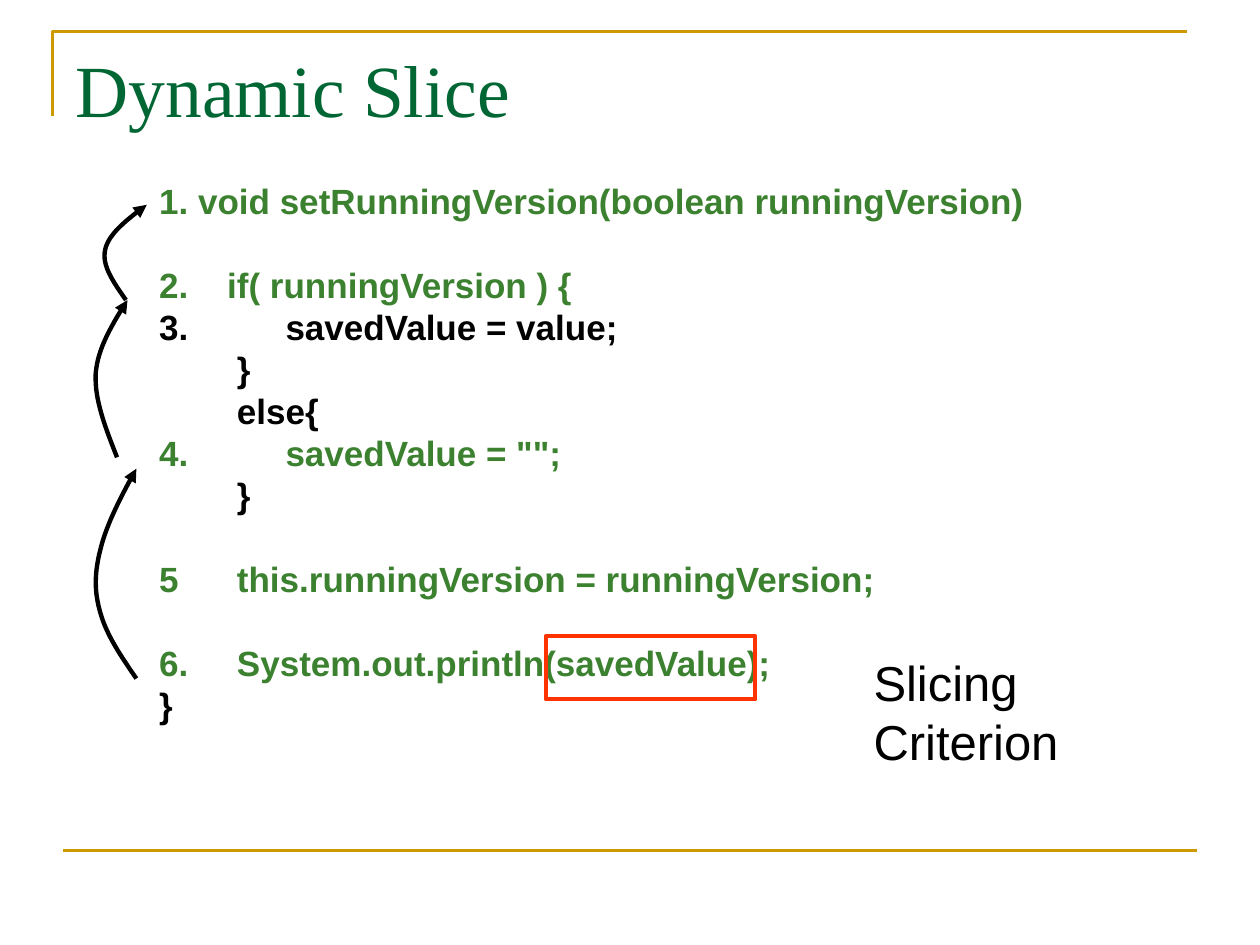
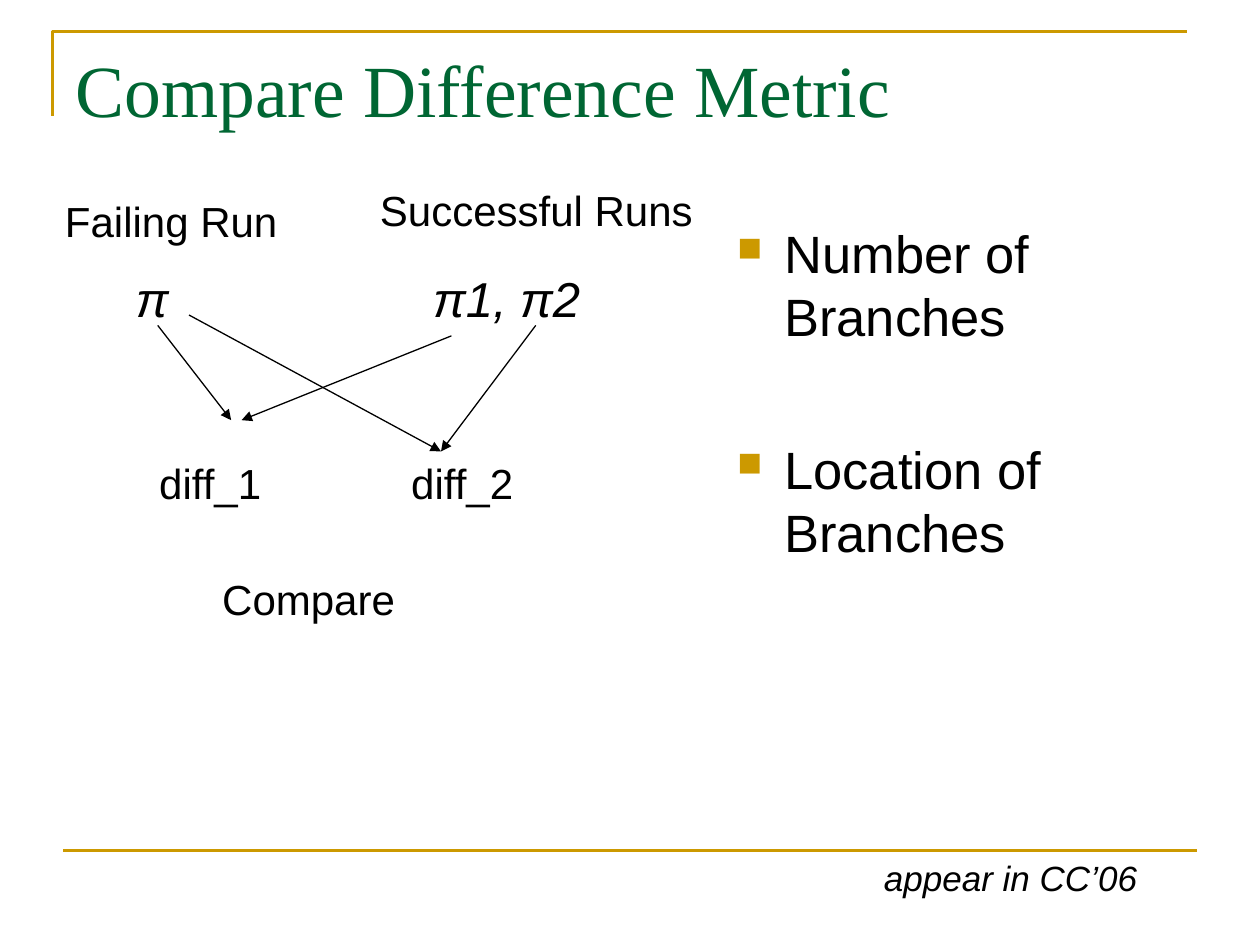
"""Build two slides on dynamic slicing and comparing difference metrics."""
from lxml import etree
from pptx import Presentation
from pptx.dml.color import RGBColor
from pptx.enum.shapes import MSO_CONNECTOR, MSO_SHAPE
from pptx.enum.text import MSO_ANCHOR, PP_ALIGN
from pptx.oxml.ns import qn
from pptx.util import Cm, Pt

STRAIGHT = MSO_CONNECTOR.STRAIGHT
RECTANGLE = MSO_SHAPE.RECTANGLE
TOP = MSO_ANCHOR.TOP
LEFT = PP_ALIGN.LEFT

GOLD, PINE, LEAF, RED, BLACK = "CC9900", "006633", "3B812F", "FF3300", "000000"
SANS, SERIF = "Arial", "Times New Roman"
LINE_PT = 24

# Each code line: text, whether it is in the slice, blank lines above it
CODE = [
    ("1. void setRunningVersion(boolean runningVersion)", True, 0),
    ("2.    if( runningVersion ) {", True, 1),
    ("3.          savedValue = value;", False, 0),
    ("        }", False, 0),
    ("        else{", False, 0),
    ("4.          savedValue = \"\";", True, 0),
    ("        }", False, 0),
    ("5      this.runningVersion = runningVersion;", True, 1),
    ("6.     System.out.println(savedValue);", True, 1),
    ("}", False, 0),
]
# Bezier points of each dependence arrow: start, then control, control, end
DEPENDENCES = [
    [(2.75, 13.68), (2.44, 13.23), (2.15, 12.8), (2.03, 12.37),
     (1.9, 11.94), (1.9, 11.56), (2.03, 11.06), (2.15, 10.57), (2.44, 10.01), (2.75, 9.45)],
    [(2.36, 9.22), (2.13, 8.64), (1.9, 8.05), (1.93, 7.53),
     (1.97, 7.01), (2.27, 6.53), (2.57, 6.05)],
    [(2.54, 6.05), (2.29, 5.69), (2.05, 5.36), (2.12, 5.04),
     (2.18, 4.72), (2.57, 4.42), (2.96, 4.13)],
]
# Each label: text, left, top, width, size, italic
LABELS = [
    ("appear in CC’06", 17.57, 17.15, 6.77, 20, True),
    ("Failing Run", 1.06, 3.81, 4.92, 24, False),
    ("Successful Runs", 7.41, 3.6, 6.99, 24, False),
    ("π", 2.49, 5.29, 1.3, 28, True),
    ("π1, π2", 8.48, 5.29, 3.6, 28, True),
    ("diff_1", 2.96, 9.1, 2.75, 24, False),
    ("diff_2", 8.04, 9.1, 2.75, 24, False),
    ("Compare", 4.23, 11.43, 4.92, 24, False),
]
DIFF_ARROWS = [
    ((3.18, 6.56), (4.66, 8.47)),
    ((9.1, 6.77), (4.87, 8.47)),
    ((3.81, 6.35), (8.89, 9.1)),
    ((10.8, 6.56), (8.89, 9.1)),
]
METRICS = ["Number of Branches", "Location of Branches"]


def rgb(value):
    """Turn a hex string into a colour."""
    return RGBColor.from_string(value)


def add_run(p, text, size, color=BLACK, font=SANS, bold=False, italic=False):
    """Add one formatted run to a paragraph."""
    r = p.add_run()
    r.text = text
    r.font.size, r.font.name = Pt(size), font
    r.font.bold, r.font.italic = bold, italic
    r.font.color.rgb = rgb(color)


def add_text_frame(slide, left, top, width, height):
    """Add a wrapping text box and return its frame."""
    tf = slide.shapes.add_textbox(Cm(left), Cm(top), Cm(width), Cm(height)).text_frame
    tf.word_wrap = True
    return tf


def next_paragraph(tf, i):
    """Return the first paragraph, or add a later one."""
    return tf.add_paragraph() if i else tf.paragraphs[0]


def add_label(slide, text, left, top, width, size, italic=False, height=1.27):
    """Add a single-run text box."""
    tf = add_text_frame(slide, left, top, width, height)
    add_run(tf.paragraphs[0], text, size, italic=italic)


def style_line(sp, color, width, arrow=False):
    """Set a line's colour and width, with an optional arrowhead."""
    sp.line.color.rgb = rgb(color)
    sp.line.width = Pt(width)
    if arrow:
        etree.SubElement(sp.line._get_or_add_ln(), qn("a:tailEnd"), type="triangle")


def add_line(slide, start, end, color, width, arrow=False):
    """Add a straight connector without a shadow."""
    sp = slide.shapes.add_connector(STRAIGHT, *(Cm(v) for v in (*start, *end)))
    style_line(sp, color, width, arrow)
    etree.SubElement(sp._element.spPr, qn("a:effectLst"))


def add_path(slide, points, color, width, arrow=False):
    """Add an open, unfilled outline through the points."""
    start, *rest = [(Cm(x), Cm(y)) for x, y in points]
    builder = slide.shapes.build_freeform(*start)
    builder.add_line_segments(rest, close=False)
    sp = builder.convert_to_shape()
    sp.shadow.inherit = False
    sp.fill.background()
    style_line(sp, color, width, arrow)


def curve_points(nodes, steps=16):
    """Sample a chain of cubic Bezier segments."""
    points = [nodes[0]]
    for i in range(0, len(nodes) - 1, 3):
        for k in range(1, steps + 1):
            t = k / steps
            weights = ((1 - t) ** 3, 3 * t * (1 - t) ** 2, 3 * t * t * (1 - t), t ** 3)
            points.append(tuple(sum(w * n[axis] for w, n in zip(weights, nodes[i:i + 4]))
                                for axis in (0, 1)))
    return points


def add_slide(prs, title):
    """Add a slide with the shared frame lines and title style."""
    slide = prs.slides.add_slide(prs.slide_layouts[5])
    add_path(slide, [(1.06, 2.33), (1.06, 0.64), (23.92, 0.64)], GOLD, 1.5)
    add_line(slide, (1.27, 17.15), (24.13, 17.15), GOLD, 1.5)
    sp = slide.shapes.title
    sp.left, sp.top, sp.width, sp.height = Cm(1.27), Cm(0.76), Cm(22.86), Cm(3.18)
    tf = sp.text_frame
    tf.vertical_anchor = TOP
    p = tf.paragraphs[0]
    p.alignment = LEFT
    add_run(p, title, 42, PINE, SERIF)
    return slide


def build_slice(prs):
    """Show the code with its slice, criterion and dependences."""
    slide = add_slide(prs, "Dynamic Slice")
    tf = add_text_frame(slide, 2.96, 3.5, 20.75, 11.28)
    for i, (text, in_slice, blanks) in enumerate(CODE):
        p = next_paragraph(tf, i)
        if blanks:
            p.space_before = Pt(blanks * LINE_PT)
        add_run(p, text, 20, LEAF if in_slice else BLACK, bold=True)
    sp = slide.shapes.add_shape(RECTANGLE, Cm(11), Cm(12.83), Cm(4.23), Cm(1.27))
    sp.shadow.inherit = False
    sp.fill.background()
    style_line(sp, RED, 2.25)
    add_label(slide, "Slicing Criterion", 17.36, 13.03, 5.08, 28, height=2.64)
    for nodes in DEPENDENCES:
        add_path(slide, curve_points(nodes), BLACK, 2.5, arrow=True)


def build_metric(prs):
    """Show how the runs' differences are compared."""
    slide = add_slide(prs, "Compare Difference Metric")
    for label in LABELS:
        add_label(slide, *label)
    for start, end in DIFF_ARROWS:
        add_line(slide, start, end, BLACK, 0.75, arrow=True)
    tf = add_text_frame(slide, 14.61, 4.34, 9.74, 7.49)
    for i, text in enumerate(METRICS):
        p = next_paragraph(tf, i)
        if i:
            p.space_before = Pt(51)
        pPr = p._p.get_or_add_pPr()
        pPr.set("marL", str(Cm(0.95)))
        pPr.set("indent", str(Cm(-0.95)))
        color = etree.SubElement(pPr, qn("a:buClr"))
        etree.SubElement(color, qn("a:srgbClr"), val=GOLD)
        etree.SubElement(pPr, qn("a:buSzPct"), val="65000")
        etree.SubElement(pPr, qn("a:buChar"), char="■")
        add_run(p, text, 30)


def main():
    """Build and save the deck."""
    prs = Presentation()
    prs.slide_width, prs.slide_height = Cm(25.4), Cm(19.05)
    build_slice(prs)
    build_metric(prs)
    prs.save("out.pptx")


if __name__ == "__main__":
    main()
